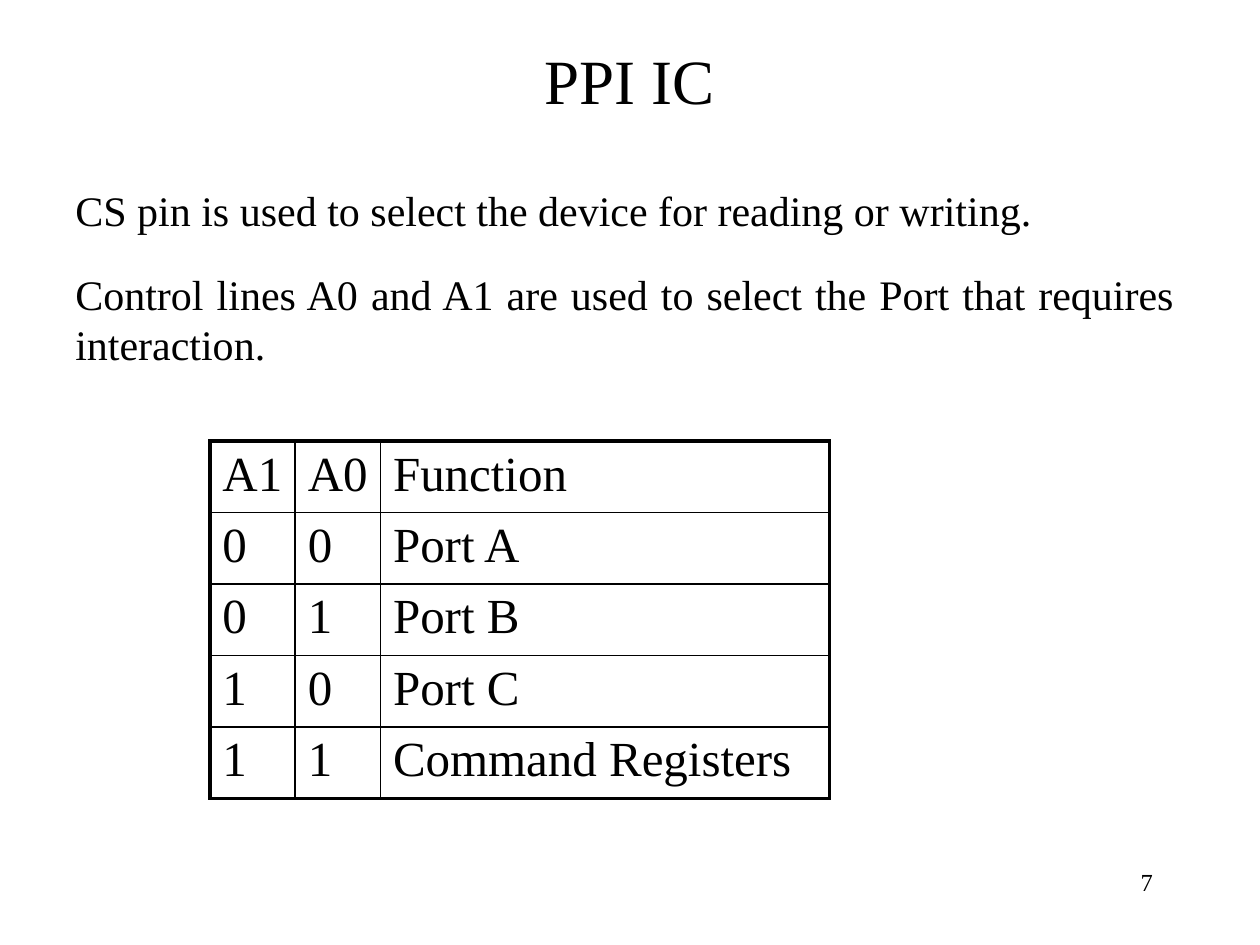
from lxml.etree import SubElement
from pptx import Presentation
from pptx.dml.color import RGBColor
from pptx.enum.text import MSO_ANCHOR, PP_ALIGN
from pptx.oxml.ns import qn
from pptx.util import Cm, Pt

BLACK = RGBColor(0x00, 0x00, 0x00)
WHITE = RGBColor(0xFF, 0xFF, 0xFF)
THIN, THICK = Pt(1), Pt(2.25)


class SlideBuilder:
    font = "Times New Roman"
    color = BLACK

    def __init__(self, slide):
        self.slide = slide
        slide.background.fill.solid()
        slide.background.fill.fore_color.rgb = WHITE

    def add_run(self, p, text, size):
        r = p.add_run()
        r.text = text
        r.font.name = self.font
        r.font.size = Pt(size)
        r.font.color.rgb = self.color

    def text(self, text, left, top, width, height, size, align,
             anchor=MSO_ANCHOR.TOP):
        sp = self.slide.shapes.add_textbox(
            Cm(left), Cm(top), Cm(width), Cm(height))
        tf = sp.text_frame
        tf.word_wrap = True
        tf.vertical_anchor = anchor
        p = tf.paragraphs[0]
        p.alignment = align
        self.add_run(p, text, size)

    def border(self, cell, side, width):
        tcPr = cell._tc.get_or_add_tcPr()
        ln = SubElement(tcPr, qn(f"a:ln{side}"), w=str(width))
        fill = SubElement(ln, qn("a:solidFill"))
        SubElement(fill, qn("a:srgbClr"), val=str(self.color))

    def table(self, rows, left, top, widths, row_height, size):
        last_row, last_col = len(rows) - 1, len(widths) - 1
        frame = self.slide.shapes.add_table(
            len(rows), len(widths), Cm(left), Cm(top),
            Cm(sum(widths)), Cm(row_height * len(rows)))
        table = frame.table
        table.first_row = table.horz_banding = False
        for column, width in zip(table.columns, widths):
            column.width = Cm(width)
        for i, row in enumerate(rows):
            table.rows[i].height = Cm(row_height)
            for j, text in enumerate(row):
                cell = table.cell(i, j)
                self.add_run(cell.text_frame.paragraphs[0], text, size)
                # Thick lines only on the outer frame
                outer = {"L": j == 0, "R": j == last_col,
                         "T": i == 0, "B": i == last_row}
                for side, is_outer in outer.items():
                    self.border(cell, side, THICK if is_outer else THIN)
                cell.fill.background()


def main():
    prs = Presentation()
    prs.slide_width, prs.slide_height = Cm(25.4), Cm(19.05)
    s = SlideBuilder(prs.slides.add_slide(prs.slide_layouts[6]))

    # Slide number
    s.text("7", 18.2, 17.35, 5.29, 1.27, 14, PP_ALIGN.RIGHT)

    # Title
    s.text("PPI IC", 1.9, 0, 21.59, 3.18, 36, PP_ALIGN.CENTER,
           MSO_ANCHOR.MIDDLE)

    # Explanation
    s.text("CS pin is used to select the device for reading or writing.",
           1.27, 3.6, 22.65, 1.27, 24, PP_ALIGN.JUSTIFY)
    s.text("Control lines A0 and A1 are used to select the Port that "
           "requires interaction.",
           1.27, 5.29, 22.65, 2.29, 24, PP_ALIGN.JUSTIFY)

    # Port selection table
    s.table([("A1", "A0", "Function"),
             ("0", "0", "Port A"),
             ("0", "1", "Port B"),
             ("1", "0", "Port C"),
             ("1", "1", "Command Registers")],
            4.23, 8.89, (1.72, 1.72, 9.05), 1.44, 28)

    prs.save("out.pptx")


if __name__ == "__main__":
    main()
